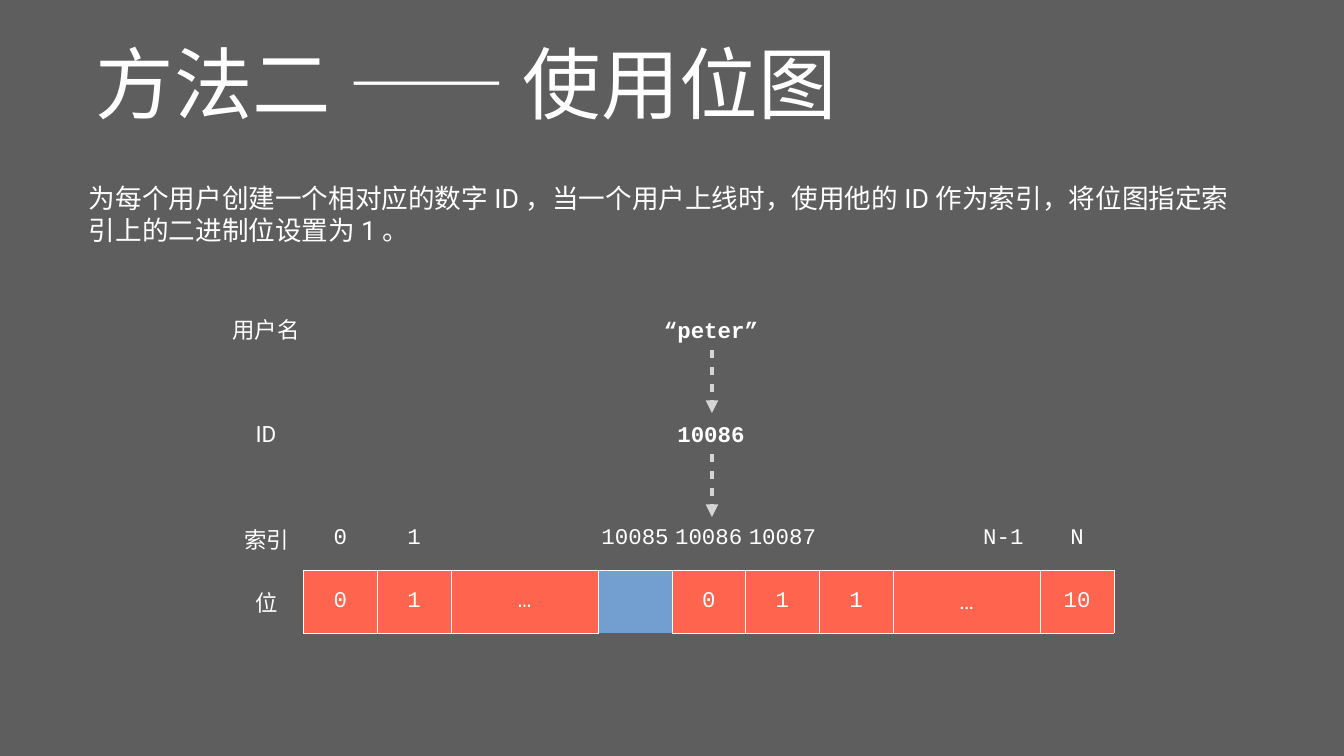
from lxml.etree import SubElement
from pptx import Presentation
from pptx.dml.color import RGBColor
from pptx.enum.shapes import MSO_CONNECTOR
from pptx.enum.text import MSO_ANCHOR, PP_ALIGN
from pptx.oxml.ns import qn
from pptx.util import Pt

# Content
SANS, MONO = "Roboto", "Courier New"
TITLE = "方法二 —— 使用位图"
BODY = ("为每个用户创建一个相对应的数字 ID ，当一个用户上线时，使用他的 ID 作为索引，"
        "将位图指定索引上的二进制位设置为 1 。")
# Each entry is (text, columns covered, font); the first is the row label
INDEX_ROW = [("索引", 1, SANS), ("0", 1, MONO), ("1", 1, MONO), ("", 2, MONO),
             ("10085", 1, MONO), ("10086", 1, MONO), ("10087", 1, MONO),
             ("", 2, MONO), ("N-1", 1, MONO), ("N", 1, MONO)]
BIT_ROW = [("位", 1, SANS), ("0", 1, MONO), ("1", 1, MONO), ("…", 2, MONO),
           ("0", 1, MONO), ("1", 1, MONO), ("1", 1, MONO),
           ("…", 2, SANS), ("1", 1, MONO), ("0", 1, MONO)]
# Text, centre x, centre y, width, font, bold
LABELS = [("用户名", 266, 330, 74, SANS, False),
          ("ID", 266, 434, 28, SANS, False),
          ("“peter”", 711, 330, 120, MONO, True),
          ("10086", 711, 434, 80, MONO, True)]
ARROW_X, ARROW_TOPS, ARROW_LENGTH = 712, (454, 350), 63

# Look
COLORS = {"back": "5E5E5E", "text": "FFFFFF", "bit": "FF644E", "arrow": "D5D5D5"}
PX = 18143
MARGIN = 3
LABEL_HEIGHT = 34
TABLE_X, TABLE_Y, TABLE_W, ROW_H = 230, 507, 884, 63
PLAIN_TABLE = "{2D5ABB26-0587-4C30-8999-92F81FD0307C}"


def rgb(name):
    return RGBColor.from_string(COLORS[name])


def px(*lengths):
    return [round(n * PX) for n in lengths]


def write(tf, text, size, font, align=PP_ALIGN.LEFT, bold=False):
    p = tf.paragraphs[0]
    p.alignment = align
    r = p.add_run()
    r.text = text
    r.font.size, r.font.name, r.font.bold = Pt(size), font, bold
    r.font.color.rgb = rgb("text")


def set_frame(tf, wrap=True):
    tf.margin_left = tf.margin_right = tf.margin_top = tf.margin_bottom = MARGIN * PX
    tf.vertical_anchor = MSO_ANCHOR.MIDDLE
    tf.word_wrap = wrap


def set_borders(cell, sides):
    """White 1 pt lines on the given sides, none on the others."""
    tc_pr = cell._tc.get_or_add_tcPr()
    for i, side in enumerate("LRTB"):
        ln = tc_pr.makeelement(qn(f"a:ln{side}"), {"w": str(Pt(1))})
        if side in sides:
            fill = SubElement(ln, qn("a:solidFill"))
            SubElement(fill, qn("a:srgbClr"), val=COLORS["text"])
        else:
            SubElement(ln, qn("a:noFill"))
        tc_pr.insert(i, ln)


def fill_row(table, row, entries):
    col = 0
    for text, span, font in entries:
        cell = table.cell(row, col)
        if span > 1:
            cell.merge(table.cell(row, col + span - 1))
        for c in range(col, col + span):
            part = table.cell(row, c)
            is_bit = row == 1 and c > 0
            if is_bit:
                part.fill.solid()
                part.fill.fore_color.rgb = rgb("bit")
            else:
                part.fill.background()
            set_borders(part, "LRTB" if is_bit else "R" if row else "B" if c else "")
        cell.margin_left = cell.margin_right = MARGIN * PX
        cell.margin_top = cell.margin_bottom = MARGIN * PX
        cell.vertical_anchor = MSO_ANCHOR.MIDDLE
        if text:
            write(cell.text_frame, text, 32, font, PP_ALIGN.CENTER)
        col += span


def add_arrow(s, x, top, length):
    line = s.shapes.add_connector(MSO_CONNECTOR.STRAIGHT, *px(x, top, x, top + length))
    line.line.width = Pt(6)
    line.line.color.rgb = rgb("arrow")
    ln = line.line._get_or_add_ln()
    dash = SubElement(ln, qn("a:custDash"))
    SubElement(dash, qn("a:ds"), d="200000", sp="200000")
    SubElement(ln, qn("a:tailEnd"), type="triangle")
    SubElement(line._element.spPr, qn("a:effectLst"))


def main():
    prs = Presentation()
    prs.slide_width, prs.slide_height = px(1344, 756)
    s = prs.slides.add_slide(prs.slide_layouts[5])
    s.background.fill.solid()
    s.background.fill.fore_color.rgb = rgb("back")

    # Title and explanation
    title = s.shapes.title
    title.left, title.top, title.width, title.height = px(93, 19, 1158, 126)
    set_frame(title.text_frame)
    write(title.text_frame, TITLE, 112, SANS)
    body = s.shapes.add_textbox(*px(86, 160, 1158, 108))
    set_frame(body.text_frame)
    write(body.text_frame, BODY, 38, SANS)

    # Index and bit table
    n_cols = sum(span for _, span, _ in INDEX_ROW)
    frame = s.shapes.add_table(2, n_cols, *px(TABLE_X, TABLE_Y, TABLE_W, 2 * ROW_H))
    table = frame.table
    table.first_row = table.horz_banding = False
    table._tbl.tblPr.find(qn("a:tableStyleId")).text = PLAIN_TABLE
    for row, entries in enumerate((INDEX_ROW, BIT_ROW)):
        fill_row(table, row, entries)

    # User name and ID labels
    for text, x, y, width, font, bold in LABELS:
        box = s.shapes.add_textbox(
            *px(x - width / 2, y - LABEL_HEIGHT / 2, width, LABEL_HEIGHT))
        set_frame(box.text_frame, wrap=False)
        write(box.text_frame, text, 32, font, PP_ALIGN.CENTER, bold)

    # Arrows from name to ID to index
    for top in ARROW_TOPS:
        add_arrow(s, ARROW_X, top, ARROW_LENGTH)

    prs.save("out.pptx")


if __name__ == "__main__":
    main()
